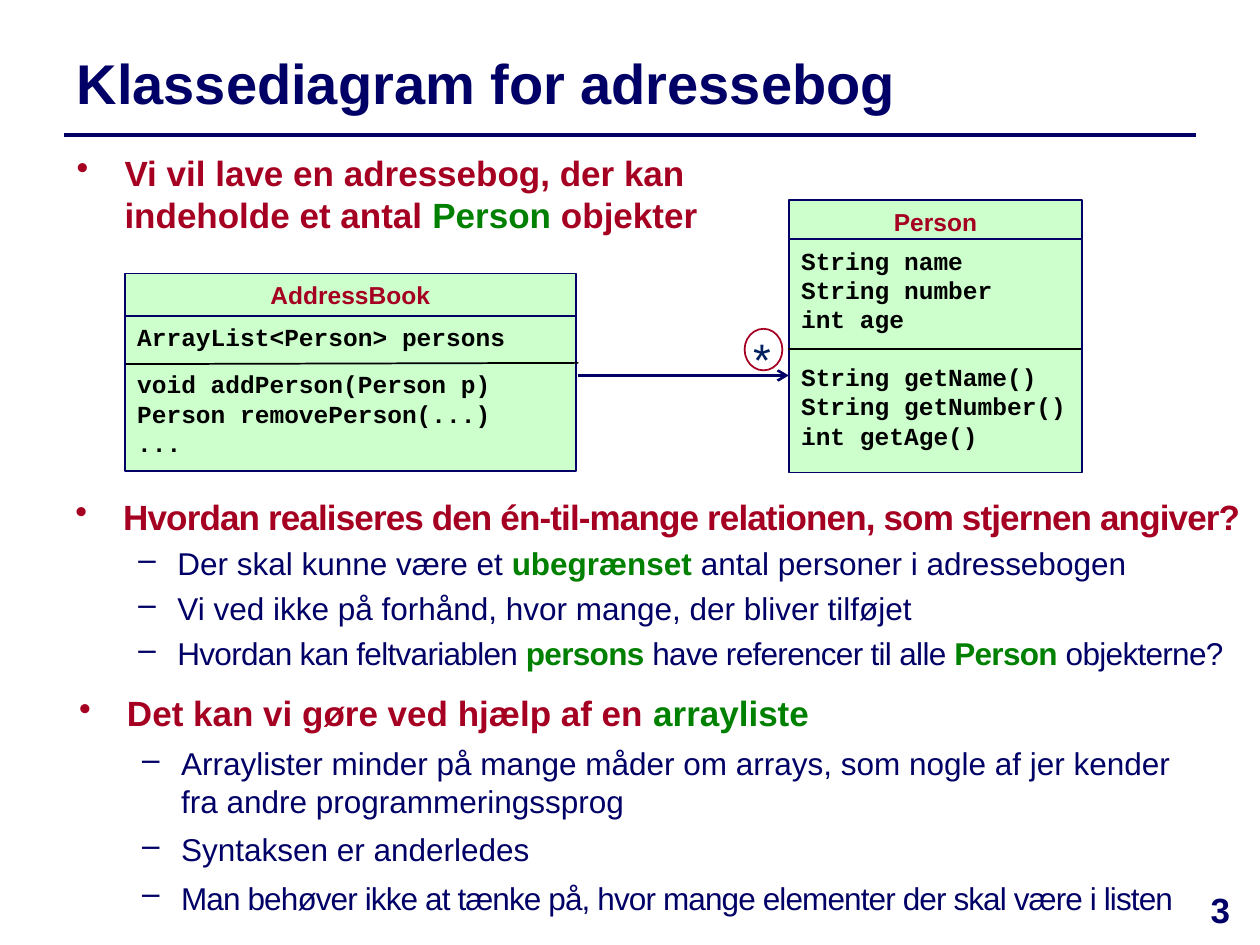
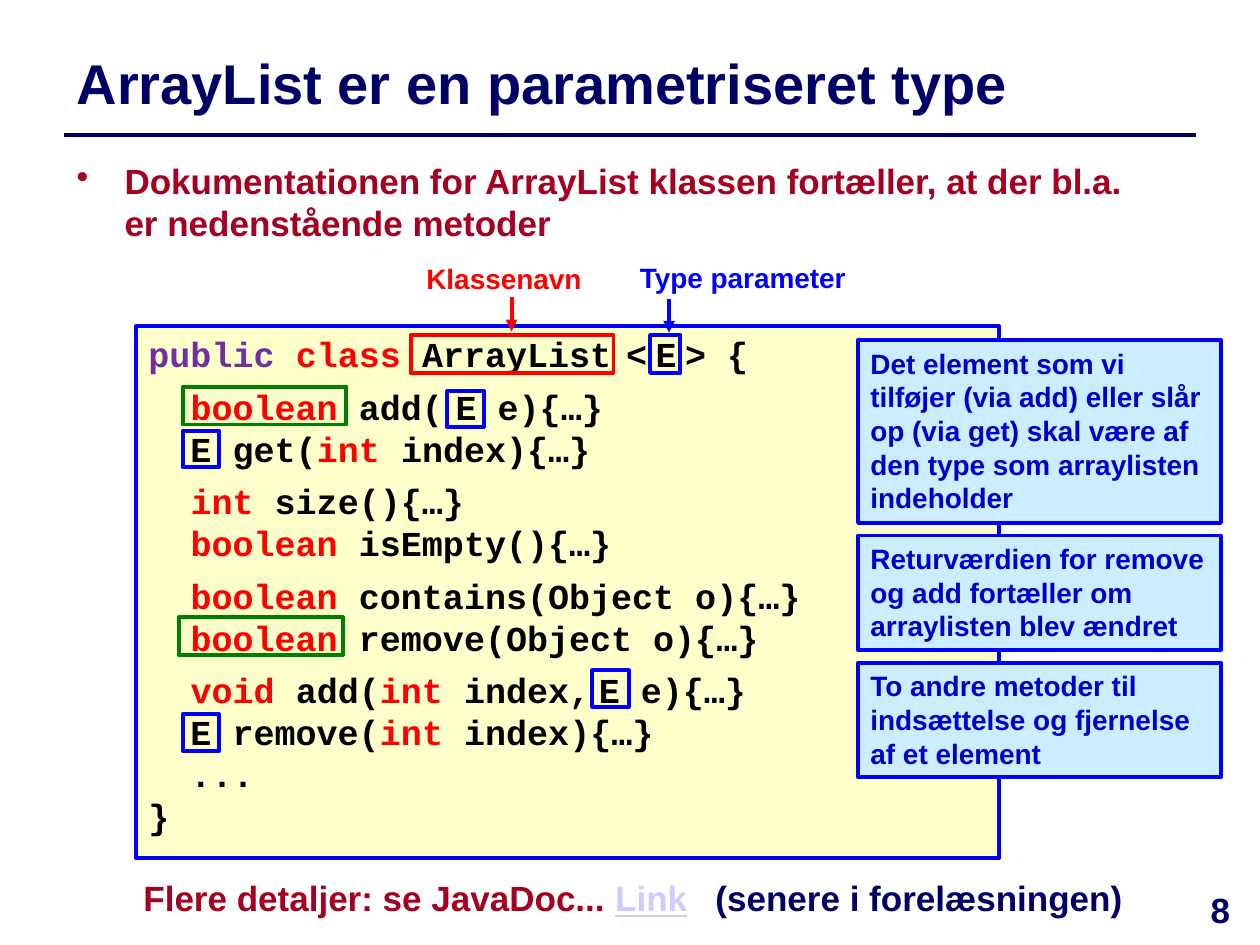
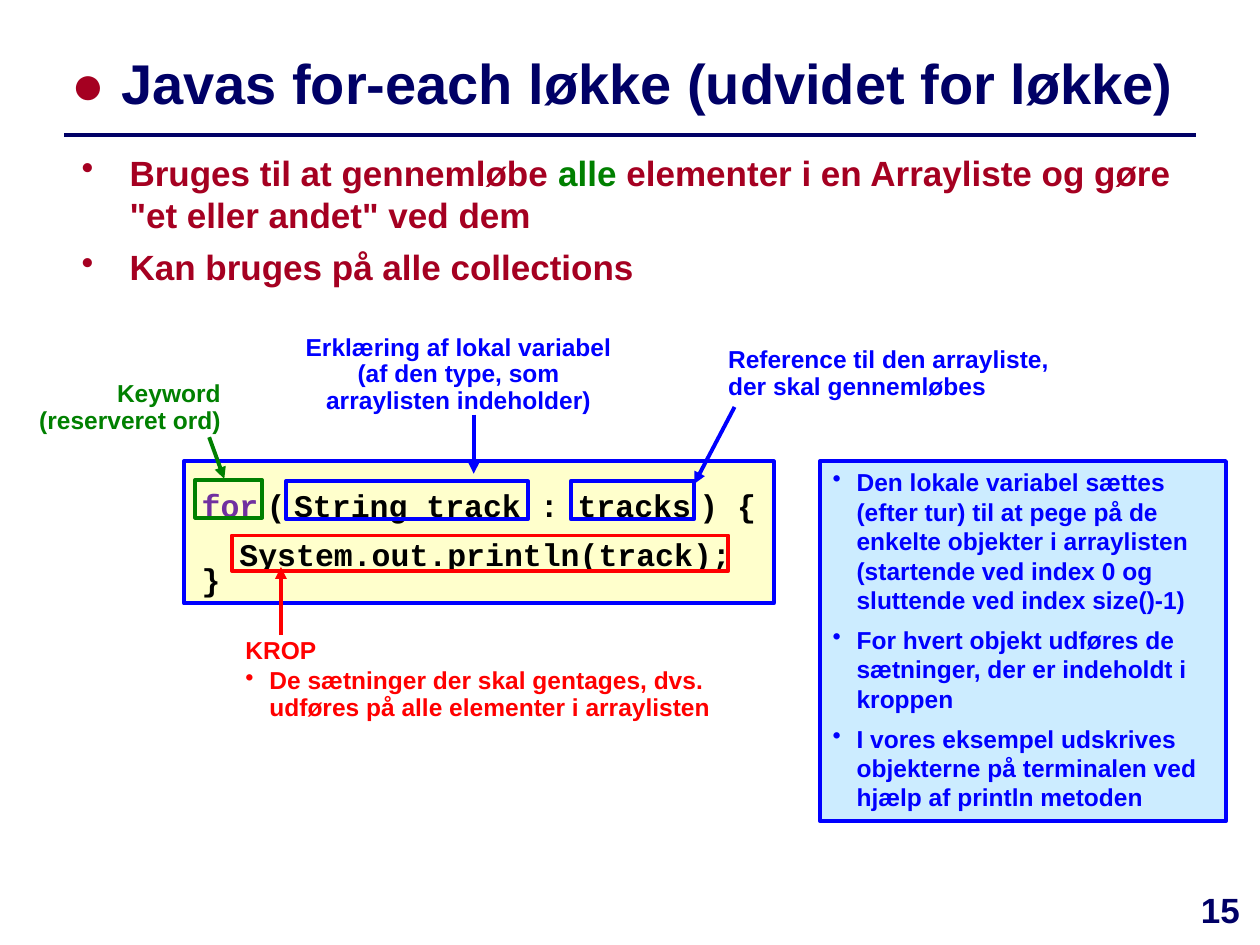
from lxml.etree import SubElement
from pptx import Presentation
from pptx.dml.color import RGBColor
from pptx.enum.shapes import MSO_CONNECTOR, MSO_SHAPE
from pptx.enum.text import MSO_ANCHOR, PP_ALIGN
from pptx.oxml.ns import qn
from pptx.util import Inches, Pt

COLORS = {
    "navy": "000066", "crimson": "A50021", "green": "008000",
    "blue": "0000FF", "ink": "0000CC", "red": "FF0000",
    "purple": "7030A0", "black": "000000", "star": "002060",
    "link": "CCCCFF", "mint": "CCFFCC", "cream": "FFFFCC", "sky": "CCECFF",
}
KEYWORDS = {"public": "purple", "for": "purple", "class": "red",
            "boolean": "red", "int": "red", "void": "red"}
SANS, MONO = "Arial", "Courier New"
CENTER, RIGHT = PP_ALIGN.CENTER, PP_ALIGN.RIGHT


def rgb(name):
    return RGBColor.from_string(COLORS[name])


def marked(text):
    parts = text.split("|")
    return [(part, {"color": "green", "bold": True} if i % 2 else {})
            for i, part in enumerate(parts)]


def code(line):
    runs = []
    for part in line.split("|"):
        if part.isdigit():
            runs.append((" ", {"size": int(part)}))
        else:
            runs.append((part, {"color": KEYWORDS.get(part.strip(), "black")}))
    return runs


def bullet(text, **style):
    return {"runs": marked(text), "bullet": "•", "left": 0.38, "hang": 0.38, **style}


def dash(text, **style):
    return {"runs": marked(text), "bullet": "–", "left": 0.81, "hang": 0.31,
            "size": 18, "color": "navy", "bold": False, **style}


def small_bullet(text, **style):
    return bullet(text, left=0.19, hang=0.19, **style)


class Deck:
    def __init__(self):
        self.prs = Presentation()
        self.prs.slide_width, self.prs.slide_height = Inches(10), Inches(7.5)
        self.s = None

    def slide(self, title, number, left=0.51, width=8.98):
        self.s = self.prs.slides.add_slide(self.prs.slide_layouts[6])
        self.line((0.51, 1.07), (9.49, 1.07), "navy", 2)
        self.text((left, 0.28, width, 0.75), [title], size=32, color="navy",
                  anchor=MSO_ANCHOR.MIDDLE)
        self.text((9.33, 7, 0.71, 0.5), [str(number)], color="navy", align=CENTER)

    def text(self, at, paras, **style):
        sp = self.s.shapes.add_textbox(*map(Inches, at))
        self.fill_text(sp.text_frame, paras, **style)

    def box(self, at, line, width=2.25, fill=None, paras=(), shape=MSO_SHAPE.RECTANGLE, **style):
        sp = self.s.shapes.add_shape(shape, *map(Inches, at))
        sp.shadow.inherit = False
        if fill:
            sp.fill.solid()
            sp.fill.fore_color.rgb = rgb(fill)
        else:
            sp.fill.background()
        sp.line.color.rgb = rgb(line)
        sp.line.width = Pt(width)
        if paras:
            self.fill_text(sp.text_frame, paras, **style)

    def line(self, start, end, color, width=2.25, tail=None):
        cn = self.s.shapes.add_connector(
            MSO_CONNECTOR.STRAIGHT, *map(Inches, (*start, *end)))
        cn.line.color.rgb = rgb(color)
        cn.line.width = Pt(width)
        if tail:
            SubElement(cn.line._get_or_add_ln(), qn("a:tailEnd"), type=tail)
        SubElement(cn._element.spPr, qn("a:effectLst"))

    def fill_text(self, tf, paras, anchor=MSO_ANCHOR.TOP, wrap=True, inset=0.1, **style):
        tf.word_wrap = wrap
        tf.vertical_anchor = anchor
        tf.margin_left = Inches(inset)
        for i, para in enumerate(paras):
            p = tf.paragraphs[0] if i == 0 else tf.add_paragraph()
            if isinstance(para, str):
                para = {"runs": [(para, {})]}
            elif isinstance(para, list):
                para = {"runs": para}
            self.paragraph(p, i == 0, **{**style, **para})

    def paragraph(self, p, first, runs, bullet=None, left=0, hang=0, before=0,
                  spacing=None, align=PP_ALIGN.LEFT, tab=None, **font):
        pPr = p._p.get_or_add_pPr()
        if bullet:
            pPr.set("marL", str(Inches(left)))
            pPr.set("indent", str(-Inches(hang)))
            SubElement(pPr, qn("a:buChar"), char=bullet)
        if tab:
            tabs = SubElement(pPr, qn("a:tabLst"))
            SubElement(tabs, qn("a:tab"), pos=str(Inches(tab)), algn="l")
        p.alignment = align
        p.space_before = Pt(0 if first else before)
        if spacing:
            p.line_spacing = spacing
        for text, own in runs:
            if text == "\n":
                p.add_line_break()
            elif text:
                self.run(p, text, **{**font, **own})

    def run(self, p, text, size=20, color="crimson", bold=True, name=SANS,
            underline=False, tracking=0):
        r = p.add_run()
        r.text = text
        r.font.size = Pt(size)
        r.font.name = name
        r.font.bold = bold
        r.font.color.rgb = rgb(color)
        if underline:
            r.font.underline = True
        if tracking:
            r._r.get_or_add_rPr().set("spc", str(round(tracking * 100)))

    def uml_class(self, left, top, width, head, body, name, members):
        self.box((left, top, width, head), "navy", 1, "mint", [name], size=14, align=CENTER)
        self.box((left, top + head, width, body), "navy", 1, "mint", members,
                 size=14, color="black", name=MONO)

    def callout(self, at, label, start, end, color, size=14, **style):
        self.line(start, end, color, tail="triangle")
        self.text(at, label, size=size, color=color, **style)


def class_diagram(deck):
    deck.slide("Klassediagram for adressebog", 3)
    deck.text((0.51, 1.15, 5.39, 0.74), [
        bullet("Vi vil lave en adressebog, der kan indeholde et antal |Person| objekter")])
    deck.line((4.59, 2.98), (6.26, 2.98), "navy", 1.5, "arrow")
    deck.text((5.88, 2.58, 0.34, 0.54), ["*"], size=26, color="star", bold=False, wrap=False)
    deck.box((5.91, 2.61, 0.3, 0.33), "crimson", 1, shape=MSO_SHAPE.OVAL)
    deck.text((0.5, 3.88, 9.47, 1.52), [
        bullet("Hvordan realiseres den én-til-mange relationen, som stjernen angiver?",
               tracking=-0.5),
        dash("Der skal kunne være et |ubegrænset| antal personer i adressebogen"),
        dash("Vi ved ikke på forhånd, hvor mange, der bliver tilføjet"),
        dash("Hvordan kan feltvariablen |persons| have referencer til alle |Person| objekterne?",
             tracking=-0.4),
    ], before=4)
    deck.text((0.53, 5.44, 9.06, 1.55), [
        bullet("Det kan vi gøre ved hjælp af en |arrayliste"),
        dash("Arraylister minder på mange måder om arrays, som nogle af jer kender "
             "fra andre programmeringssprog"),
        dash("Syntaksen er anderledes"),
        dash("Man behøver ikke at tænke på, hvor mange elementer der skal være i listen",
             tracking=-0.5),
    ], before=6)
    deck.uml_class(0.99, 2.17, 3.58, 0.34, 1.23, "AddressBook", [
        "ArrayList<Person> persons",
        {"runs": [("void addPerson(Person p)", {})], "before": 10},
        "Person removePerson(...)", "..."])
    deck.uml_class(6.26, 1.59, 2.33, 0.31, 1.85, "Person", [
        "String name", "String number", "int age",
        {"runs": [("String getName()", {})], "before": 16},
        "String getNumber()", "int getAge()"])
    deck.line((6.25, 2.77), (8.58, 2.77), "black", 1)
    deck.line((1, 2.89), (4.59, 2.88), "black", 1)


def parametrised_type(deck):
    deck.slide("ArrayList er en parametriseret type", 8, width=8.66)
    groups = [
        ["public |class |ArrayList|14|<|8|E|8|> {"],
        ["  |boolean |add(|12|E e){…}", "  E get(|int |index){…}"],
        ["  |int |size(){…}", "  |boolean |isEmpty(){…}"],
        ["  |boolean |contains(Object o){…}", "  |boolean |remove(Object o){…}"],
        ["  |void |add(|int |index,|8|E e){…}", "  E remove(|int |index){…}", "  ...", "}"],
    ]
    lines = [{"runs": code(line), "before": 0 if i else 6}
             for group in groups for i, line in enumerate(group)]
    deck.box((1.08, 2.59, 6.85, 4.22), "blue", fill="cream", paras=lines, name=MONO)
    deck.text((1.04, 6.91, 8.33, 0.44), [{"tab": 4.54, "runs": [
        ("Flere detaljer: se JavaDoc... ", {}),
        ("Link", {"color": "link", "underline": True}),
        ("\t(senere i forelæsningen)", {"color": "navy"})]}])
    deck.callout((4.9, 2.02, 1.99, 0.37), ["Type parameter"], (5.31, 2.37), (5.31, 2.64),
                 "blue", 16, align=CENTER)
    deck.callout((3.16, 2.03, 1.68, 0.37), ["Klassenavn"], (4.06, 2.36), (4.06, 2.63),
                 "red", 16, align=CENTER)
    deck.text((0.51, 1.22, 8.58, 0.56), [
        bullet("Dokumentationen for ArrayList klassen fortæller, at der bl.a. "
               "er nedenstående metoder")])
    deck.box((3.26, 2.66, 1.61, 0.3), "red")
    deck.box((5.16, 2.66, 0.24, 0.3), "blue")
    for left, top in ((3.55, 3.1), (1.45, 3.42), (1.45, 5.67), (4.7, 5.32)):
        deck.box((left, top, 0.29, 0.29), "blue")
    for left, top in ((1.42, 4.9), (1.45, 3.07)):
        deck.box((left, top, 1.3, 0.3), "green")
    top = 2.7
    for height, note in (
            (1.45, "Det element som vi tilføjer (via add) eller slår op (via get) "
                   "skal være af den type som arraylisten indeholder"),
            (0.91, "Returværdien for remove og add fortæller om arraylisten blev ændret"),
            (0.91, "To andre metoder til indsættelse og fjernelse af et element")):
        deck.box((6.81, top, 2.88, height), "blue", fill="sky", paras=[note],
                 size=16, color="ink")
        top += height + 0.1


def for_each_loop(deck):
    deck.slide([("● ", {"color": "crimson"}),
                ("Javas for-each løkke (udvidet for løkke)", {})], 15, 0.47, 9.53)
    loop = [("for|8|(|8|String track : tracks|8|) {", 1.5),
            ("  System.out.println(track);", 1.3), ("}", 0.6)]
    deck.box((1.46, 3.66, 4.68, 1.13), "blue", fill="cream", inset=0.14, size=18, name=MONO,
             paras=[{"runs": code(line), "spacing": spacing} for line, spacing in loop])
    deck.text((0.55, 1.15, 9.2, 1.18), [
        bullet('Bruges til at gennemløbe |alle| elementer i en Arrayliste og gøre '
               '"et eller andet" ved dem'),
        bullet("Kan bruges på alle collections")], before=6)
    for left, top, width, height, color in (
            (1.55, 3.81, 0.53, 0.3, "green"), (1.84, 4.25, 3.94, 0.28, "red"),
            (2.27, 3.82, 1.92, 0.3, "blue"), (4.53, 3.82, 0.98, 0.3, "blue")):
        deck.box((left, top, width, height), color)
    deck.callout((0.2, 2.98, 1.65, 0.53), ["Keyword (reserveret ord)"],
                 (1.66, 3.47), (1.78, 3.8), "green", align=RIGHT, spacing=0.9)
    deck.callout((1.85, 5.02, 4.23, 0.77), [
        "KROP",
        small_bullet("De sætninger der skal gentages, dvs. udføres på alle elementer "
                     "i arraylisten")],
        (2.23, 5.04), (2.23, 4.5), "red", spacing=0.9, before=2)
    deck.callout((2.26, 2.61, 2.76, 0.74), [[
        ("Erklæring af lokal variabel", {}), ("\n", {}),
        ("(af den type, som arraylisten indeholder)", {})]],
        (3.76, 3.29), (3.76, 3.76), "blue", align=CENTER, spacing=0.9)
    deck.callout((5.68, 2.71, 2.92, 0.53),
                 ["Reference til den arrayliste, der skal gennemløbes"],
                 (5.83, 3.23), (5.51, 3.84), "blue", spacing=0.9)
    deck.box((6.51, 3.66, 3.22, 2.86), "blue", fill="sky", size=14, color="blue", before=6, paras=[
        small_bullet("Den lokale variabel sættes (efter tur) til at pege på de enkelte "
                     "objekter i arraylisten (startende ved index 0 og sluttende ved "
                     "index size()-1)"),
        small_bullet("For hvert objekt udføres de sætninger, der er indeholdt i kroppen"),
        small_bullet("I vores eksempel udskrives objekterne på terminalen ved hjælp "
                     "af println metoden")])


def main():
    deck = Deck()
    class_diagram(deck)
    parametrised_type(deck)
    for_each_loop(deck)
    deck.prs.save("out.pptx")


if __name__ == "__main__":
    main()
